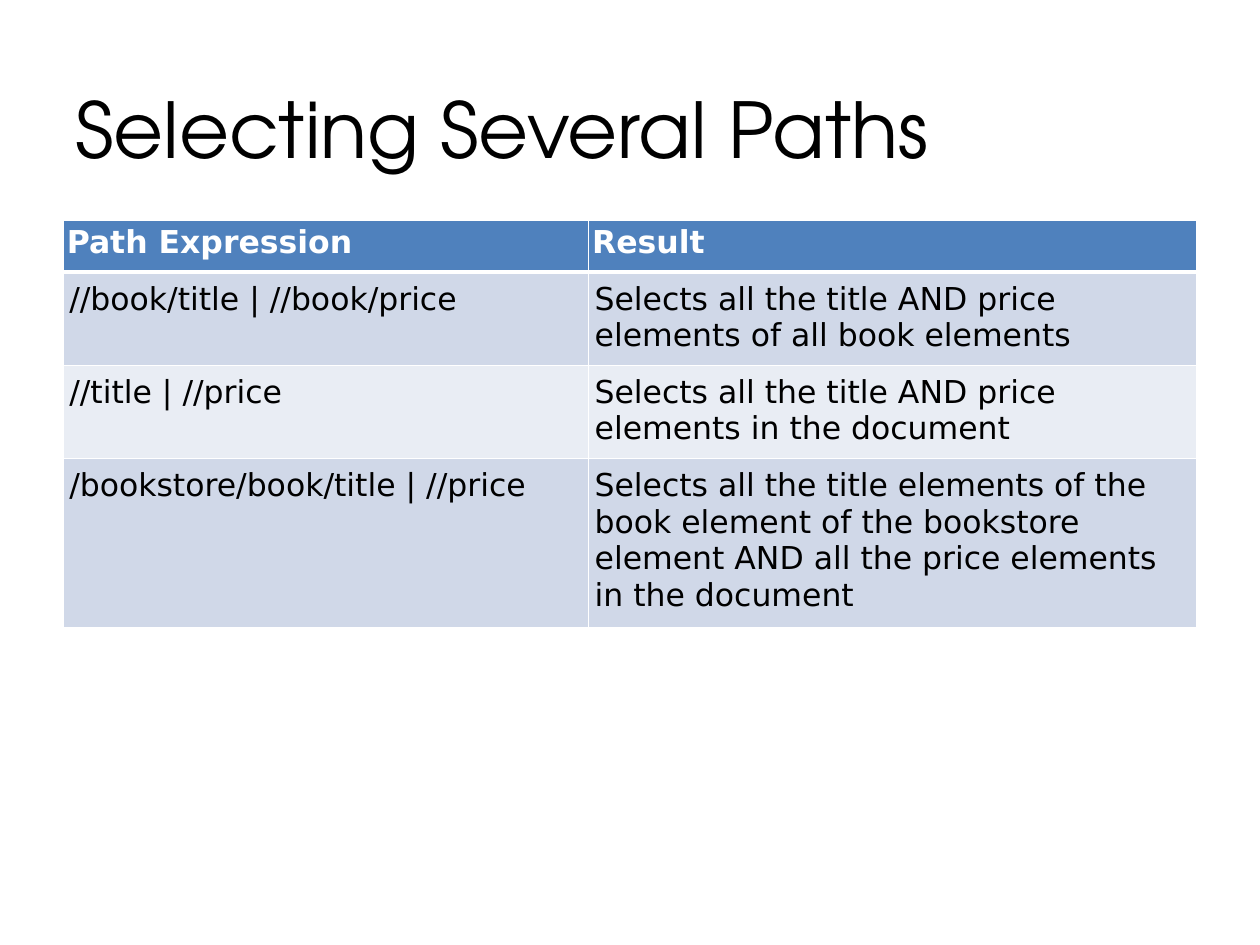
from pptx import Presentation
from pptx.dml.color import RGBColor as Rgb
from pptx.enum.text import MSO_ANCHOR as Anchor
from pptx.oxml import parse_xml
from pptx.oxml.ns import nsdecls
from pptx.util import Inches, Pt

COLORS = {
    "ink": "000000",
    "paper": "FFFFFF",
    "header": "4F81BD",
    "odd": "D0D8E8",
    "even": "E9EDF4",
}
TITLE_FONT, BODY_FONT = "TeX Gyre Adventor", "DejaVu Sans"
TITLE = "Selecting Several Paths"
PATHS = [
    ("Path Expression", "Result"),
    ("//book/title | //book/price",
     "Selects all the title AND price elements of all book elements"),
    ("//title | //price",
     "Selects all the title AND price elements in the document"),
    ("/bookstore/book/title | //price",
     "Selects all the title elements of the book element of the bookstore "
     "element AND all the price elements in the document"),
]


class Deck:
    """Holds the style and the current slide; lengths are shares of its size."""

    def __init__(self, width=10, height=7.5):
        self.show = Presentation()
        self.show.slide_width, self.show.slide_height = Inches(width), Inches(height)
        self.slide = self.show.slides.add_slide(self.show.slide_layouts[6])

    def across(self, share):
        return round(self.show.slide_width * share)

    def down(self, share):
        return round(self.show.slide_height * share)

    def box(self, left, top, width, height):
        return self.across(left), self.down(top), self.across(width), self.down(height)

    def add_words(self, frame, words, font, size, color, bold=False):
        frame.word_wrap = True
        run = frame.paragraphs[0].add_run()
        run.text = words
        run.font.name, run.font.size, run.font.bold = font, Pt(size), bold
        run.font.color.rgb = Rgb.from_string(COLORS[color])

    def title(self, words, *place):
        frame = self.slide.shapes.add_textbox(*self.box(*place)).text_frame
        frame.vertical_anchor = Anchor.MIDDLE
        self.add_words(frame, words, TITLE_FONT, 44, "ink")

    def border(self, cell, top, bottom):
        """Draw the four cell edges, with top and bottom weights in points."""
        props = cell._tc.get_or_add_tcPr()
        edges = {"lnL": 1, "lnR": 1, "lnT": top, "lnB": bottom}
        for place, (edge, weight) in enumerate(edges.items()):
            props.insert(place, parse_xml(
                f'<a:{edge} {nsdecls("a")} w="{Pt(weight)}"><a:solidFill>'
                f'<a:srgbClr val="{COLORS["paper"]}"/></a:solidFill></a:{edge}>'))

    def cell(self, cell, words, row):
        is_header = row == 0
        fill = "header" if is_header else "odd" if row % 2 else "even"
        side, end = (0.03, 0.03) if is_header else (0.05, 0.07)
        cell.margin_left = cell.margin_right = Inches(side)
        cell.margin_top = cell.margin_bottom = Inches(end)
        cell.fill.solid()
        cell.fill.fore_color.rgb = Rgb.from_string(COLORS[fill])
        self.border(cell, top=3 if row == 1 else 1, bottom=3 if is_header else 1)
        self.add_words(cell.text_frame, words, BODY_FONT, 18,
                       "paper" if is_header else "ink", bold=is_header)

    def table(self, rows, left, top, columns, row_height):
        place = self.box(left, top, sum(columns), row_height * len(rows))
        grid = self.slide.shapes.add_table(len(rows), len(columns), *place).table
        for column, share in zip(grid.columns, columns):
            column.width = self.across(share)
        for r, row in enumerate(rows):
            for c, words in enumerate(row):
                self.cell(grid.cell(r, c), words, r)


def main():
    deck = Deck()
    deck.title(TITLE, 0.05, 0.39 / 7.5, 0.9, 1.25 / 7.5)
    deck.table(PATHS, 0.05, 1.75 / 7.5, columns=(4.17 / 10, 4.83 / 10),
               row_height=0.41 / 7.5)
    deck.show.save("out.pptx")


if __name__ == "__main__":
    main()
